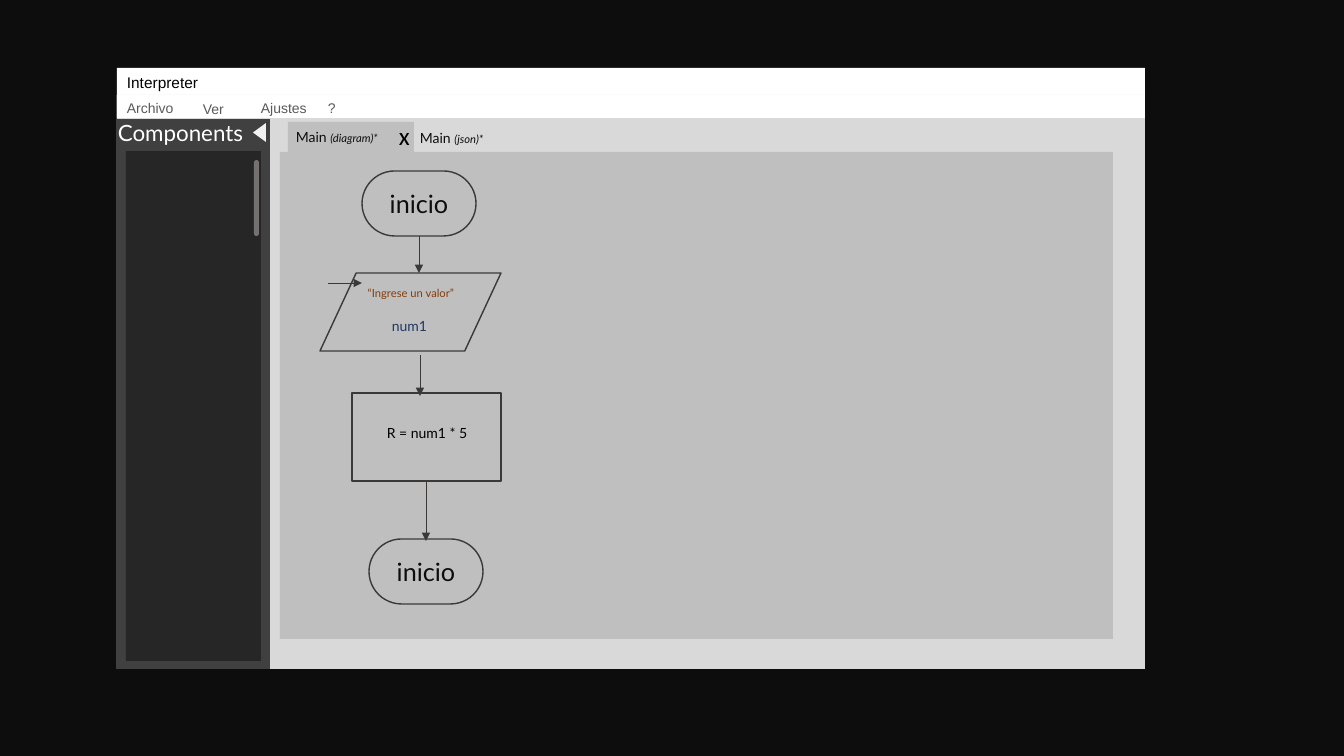
from lxml import etree
from pptx import Presentation
from pptx.dml.color import RGBColor
from pptx.enum.shapes import MSO_CONNECTOR, MSO_SHAPE
from pptx.enum.text import MSO_ANCHOR, PP_ALIGN
from pptx.oxml.ns import qn
from pptx.util import Emu, Pt

RECTANGLE = MSO_SHAPE.RECTANGLE
ROUNDED = MSO_SHAPE.ROUNDED_RECTANGLE
TRIANGLE = MSO_SHAPE.ISOSCELES_TRIANGLE
INPUT_OUTPUT = MSO_SHAPE.FLOWCHART_DATA
STRAIGHT = MSO_CONNECTOR.STRAIGHT
LEFT, CENTER = PP_ALIGN.LEFT, PP_ALIGN.CENTER
MIDDLE = MSO_ANCHOR.MIDDLE
EMU_PER_PX = 914400 / 100.8
OUTLINE, INK, MENU_GRAY = "3B3838", "0D0D0D", "595959"


def scale(*lengths):
    return [Emu(round(length * EMU_PER_PX)) for length in lengths]


def color(value):
    return RGBColor.from_string(value)


presentation = Presentation()
presentation.slide_width, presentation.slide_height = scale(1344, 756)
slide = presentation.slides.add_slide(presentation.slide_layouts[6])
slide.background.fill.solid()
slide.background.fill.fore_color.rgb = color(INK)

panels = [
    (RECTANGLE, (117, 68, 1028, 601), "FFFFFF", 0),
    (RECTANGLE, (117, 95, 1028, 574), "D9D9D9", 0),
    (RECTANGLE, (117, 95, 1028, 23), "FFFFFF", 0),
    (RECTANGLE, (117, 119, 153, 550), "404040", 0),
    (TRIANGLE, (250, 126, 19, 13), "F2F2F2", 270),
    (RECTANGLE, (126, 151, 135, 510), "262626", 0),
    (ROUNDED, (254, 160, 5, 76), "767171", 0),
    (RECTANGLE, (280, 152, 833, 487), "BFBFBF", 0),
    (RECTANGLE, (288, 122, 126, 30), "BFBFBF", 0),
]
for kind, box, fill, rotation in panels:
    panel = slide.shapes.add_shape(kind, *scale(*box))
    panel.shadow.inherit = False
    panel.fill.solid()
    panel.fill.fore_color.rgb = color(fill)
    panel.line.fill.background()
    panel.rotation = rotation
    if kind == ROUNDED:
        panel.adjustments[0] = 0.5

steps = [
    (ROUNDED, (362, 171, 114, 65), "inicio"),
    (INPUT_OUTPUT, (320, 273, 181, 78), ""),
    (RECTANGLE, (352, 393, 149, 88), ""),
    (ROUNDED, (369, 539, 114, 65), "inicio"),
]
for kind, box, label in steps:
    step = slide.shapes.add_shape(kind, *scale(*box))
    step.shadow.inherit = False
    step.fill.background()
    step.line.color.rgb = color(OUTLINE)
    step.line.width = Pt(1)
    if kind == ROUNDED:
        step.adjustments[0] = 0.5
    if label:
        step.text_frame.vertical_anchor = MIDDLE
        paragraph = step.text_frame.paragraphs[0]
        paragraph.alignment = CENTER
        run = paragraph.add_run()
        run.text = label
        run.font.color.rgb = color(INK)
        for name, value in {"name": "Lato", "size": Pt(18)}.items():
            setattr(run.font, name, value)

arrows = [
    (419, 236, 419, 273),
    (328, 283, 362, 283),
    (420, 355, 420, 396),
    (426, 482, 426, 541),
]
for ends in arrows:
    arrow = slide.shapes.add_connector(STRAIGHT, *scale(*ends))
    arrow.line.color.rgb = color(OUTLINE)
    arrow.line.width = Pt(0.5)
    etree.SubElement(arrow.line._get_or_add_ln(), qn("a:tailEnd"), type="triangle")
    etree.SubElement(arrow._element.spPr, qn("a:effectLst"))

labels = [
    ((117, 68, 134, 29), LEFT, "Arial", "000000", [("Interpreter", 11)]),
    ((108, 114, 153, 37), LEFT, "Lato", "FFFFFF", [("Components", 16)]),
    ((117, 95, 96, 27), LEFT, "Arial", MENU_GRAY, [("Archivo", 10)]),
    ((193, 96, 96, 27), LEFT, "Arial", MENU_GRAY, [("Ver", 10)]),
    ((251, 95, 96, 27), LEFT, "Arial", MENU_GRAY, [("Ajustes", 10)]),
    ((318, 95, 96, 27), LEFT, "Arial", MENU_GRAY, [("?", 10)]),
    ((286, 124, 126, 27), LEFT, "Lato", INK, [("Main ", 10), ("(diagram)*", 8)]),
    ((410, 125, 126, 27), LEFT, "Lato", INK, [("Main ", 10), ("(json)*", 8)]),
    ((389, 115, 22, 40), LEFT, "Calibri", "000000", [("x", 18)]),
    ((346, 281, 130, 24), CENTER, "Lato", "843C0B", [("“Ingrese un valor”", 8)]),
    ((382, 313, 56, 27), LEFT, "Lato", "203864", [("num1", 10)]),
    ((365, 420, 124, 27), CENTER, "Lato", "000000", [("R = num1 * 5", 10)]),
]
for box, alignment, font, ink, runs in labels:
    label = slide.shapes.add_textbox(*scale(*box))
    label.text_frame.word_wrap = True
    paragraph = label.text_frame.paragraphs[0]
    paragraph.alignment = alignment
    for position, (text, size) in enumerate(runs):
        run = paragraph.add_run()
        run.text = text
        run.font.color.rgb = color(ink)
        style = {"name": font, "size": Pt(size), "italic": position > 0}
        for name, value in style.items():
            setattr(run.font, name, value)

presentation.save("out.pptx")
